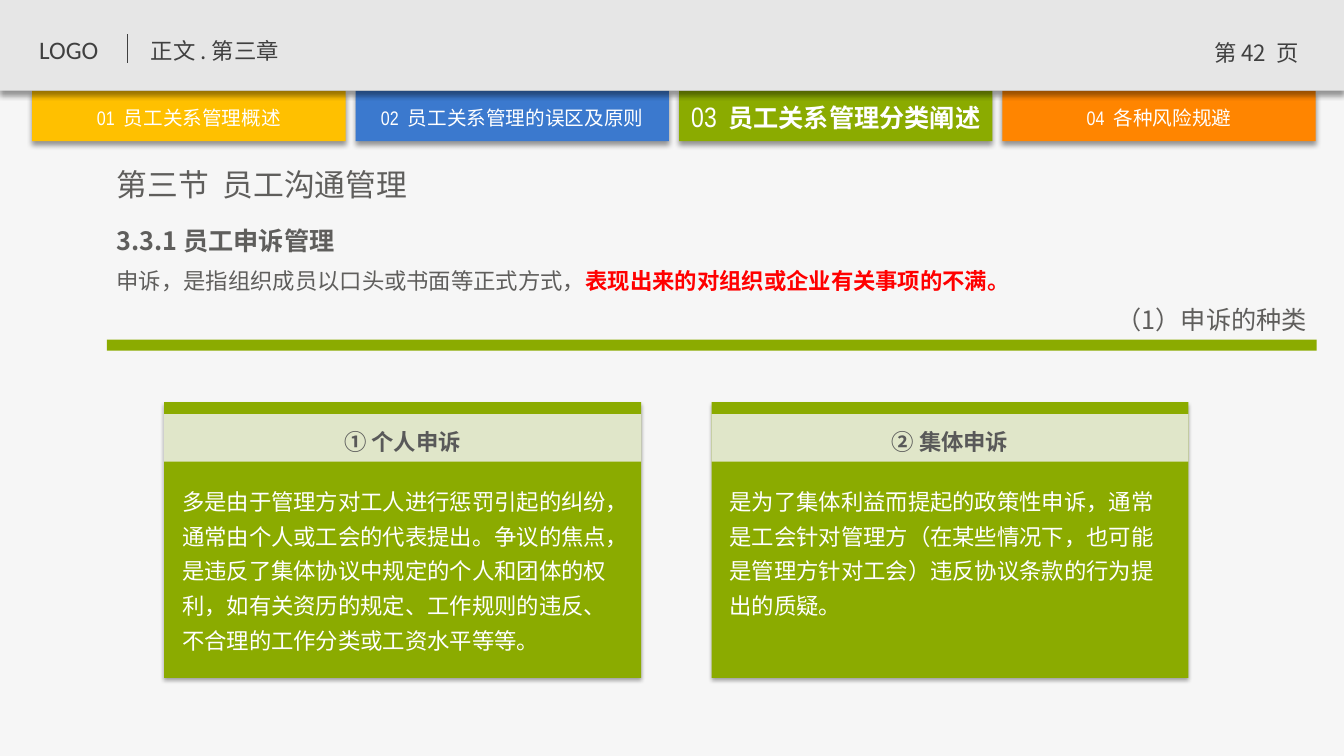
"""Builds the slide on kinds of employee grievances."""
from lxml.etree import SubElement
from pptx import Presentation
from pptx.dml.color import RGBColor
from pptx.enum.shapes import MSO_CONNECTOR, MSO_SHAPE
from pptx.enum.text import MSO_ANCHOR, MSO_AUTO_SIZE, PP_ALIGN
from pptx.oxml.ns import qn
from pptx.util import Pt

COLORS = {
    "page": "F6F6F6", "header": "E6E6E6", "dark": "404040", "text": "5F5E5C",
    "card title": "595959", "band": "F2F2F2", "white": "FFFFFF", "red": "FF0000",
    "black": "000000", "yellow": "FFC000", "blue": "3B79CE", "green": "8BAB00",
    "orange": "FF8500",
}
SANS, NARROW, LATIN = "Noto Sans CJK SC", "Arial Narrow", "Calibri"
WIDTH, HEIGHT = 960.48, 540
TAB_SHADOW, CARD_SHADOW = (40, 4, 3), (35, 3.1, 1.8)


class Painter:
    """Holds the style and the current slide."""

    def __init__(self, page):
        self.page = page
        page.background.fill.solid()
        page.background.fill.fore_color.rgb = self.color("page")

    def color(self, name):
        return RGBColor.from_string(COLORS[name])

    def block(self, left, top, width, height, fill, shadow=None, opacity=None):
        box = self.page.shapes.add_shape(
            MSO_SHAPE.RECTANGLE, Pt(left), Pt(top), Pt(width), Pt(height))
        box.shadow.inherit = False
        box.fill.solid()
        box.fill.fore_color.rgb = self.color(fill)
        box.line.fill.background()
        properties = box.element.spPr
        if opacity:
            tone = properties.find(qn("a:solidFill"))[0]
            SubElement(tone, qn("a:alpha"), val=str(opacity * 1000))
        if shadow:
            strength, blur, distance = shadow
            outer = SubElement(
                properties.find(qn("a:effectLst")), qn("a:outerShdw"),
                blurRad=str(Pt(blur)), dist=str(Pt(distance)), dir="5400000",
                algn="t", rotWithShape="0")
            tone = SubElement(outer, qn("a:srgbClr"), val=COLORS["black"])
            SubElement(tone, qn("a:alpha"), val=str(strength * 1000))

    def span(self, text, size, color, font=SANS, bold=False):
        return text, size, color, font, bold

    def text(self, left, top, width, height, spans, align=PP_ALIGN.LEFT,
             spacing=None, after=None, grow=True, tight=False):
        box = self.page.shapes.add_textbox(Pt(left), Pt(top), Pt(width), Pt(height))
        frame = box.text_frame
        frame.word_wrap = True
        frame.auto_size = MSO_AUTO_SIZE.SHAPE_TO_FIT_TEXT if grow else MSO_AUTO_SIZE.NONE
        if tight:
            frame.margin_left = frame.margin_right = 0
            frame.margin_top = frame.margin_bottom = 0
            frame.vertical_anchor = MSO_ANCHOR.MIDDLE
        para = frame.paragraphs[0]
        para.alignment = align
        if spacing:
            para.line_spacing = spacing
        if after:
            para.space_after = Pt(after)
        for words, size, color, font, bold in spans:
            run = para.add_run()
            run.text = words
            run.font.size = Pt(size)
            run.font.bold = bold
            run.font.color.rgb = self.color(color)
            run.font.name = font
            SubElement(run.font._element, qn("a:ea"), typeface=font)

    def line(self, left, top, right, bottom, color, weight):
        rule = self.page.shapes.add_connector(
            MSO_CONNECTOR.STRAIGHT, Pt(left), Pt(top), Pt(right), Pt(bottom))
        rule.line.color.rgb = self.color(color)
        rule.line.width = Pt(weight)
        SubElement(rule.element.spPr, qn("a:effectLst"))

    def tab(self, left, fill, spans, active):
        self.block(left, 64.8, 223.92, 36, fill, TAB_SHADOW)
        top, height = (70.56, 24.48) if active else (75.6, 17.28)
        self.text(left, top, 223.92, height, spans, PP_ALIGN.CENTER, tight=True)

    def card(self, left, title, body, body_height):
        self.block(left, 287.28, 340.8, 196.92, "green", CARD_SHADOW)
        self.block(left, 295.92, 340.8, 33.84, "band", opacity=83)
        self.text(left, 296.64, 340.8, 32.4,
                  [self.span(title, 16, "card title", bold=True)],
                  PP_ALIGN.CENTER, spacing=1.3)
        self.text(left + 5.76, 339.12, 329.76, body_height,
                  [self.span(body, 16, "white")], spacing=1.3)


def main():
    deck = Presentation()
    deck.slide_width, deck.slide_height = Pt(WIDTH), Pt(HEIGHT)
    painter = Painter(deck.slides.add_slide(deck.slide_layouts[6]))
    span = painter.span

    tabs = [
        ("yellow", "01", "员工关系管理概述"),
        ("blue", "02", "员工关系管理的误区及原则"),
        ("green", "03", "员工关系管理分类阐述"),
        ("orange", "04", "各种风险规避"),
    ]
    for index, (fill, number, label) in enumerate(tabs):
        active = number == "03"
        number_size, label_size = (20, 18) if active else (14, 14)
        spans = [span(number, number_size, "white", NARROW),
                 span("  ", label_size, "white", NARROW),
                 span(label, label_size, "white", bold=active)]
        painter.tab(23.04 + index * 231.12, fill, spans, active)

    painter.block(0, 0, WIDTH, 64.8, "header", TAB_SHADOW)
    painter.text(20.88, 20.88, 70.56, 28.8, [span("LOGO", 18, "dark", LATIN)])
    painter.line(91.44, 24.48, 91.44, 45.36, "dark", 0.75)
    painter.text(854.64, 24.48, 86.4, 28.8, [span("第 42  页", 16, "dark")],
                 PP_ALIGN.CENTER, grow=False)
    painter.text(100.8, 23.04, 235.44, 26.64, [span("正文 . 第三章", 16, "dark")])

    painter.text(76.32, 114.48, 391.68, 33.84, [span("第三节  员工沟通管理", 22, "text")])
    painter.text(76.32, 151.2, 415.44, 35.28,
                 [span("3.3.1 员工申诉管理", 18, "text", bold=True)], spacing=1.3)
    painter.text(76.32, 181.44, 864.72, 30.24,
                 [span("申诉，是指组织成员以口头或书面等正式方式，", 16, "text"),
                  span("表现出来的对组织或企业有关事项的不满。", 16, "red", bold=True)],
                 spacing=1.3, after=6)
    painter.text(769.68, 207.36, 171.36, 35.28, [span("（1）申诉的种类", 18, "text")],
                 PP_ALIGN.RIGHT, spacing=1.3)
    painter.block(76.32, 242.64, 864.72, 7.92, "green")

    cards = [
        ("① 个人申诉",
         "多是由于管理方对工人进行惩罚引起的纠纷，通常由个人或工会的代表提出。"
         "争议的焦点，是违反了集体协议中规定的个人和团体的权利，如有关资历的规定、"
         "工作规则的违反、不合理的工作分类或工资水平等等。", 133.2),
        ("② 集体申诉",
         "是为了集体利益而提起的政策性申诉，通常是工会针对管理方"
         "（在某些情况下，也可能是管理方针对工会）违反协议条款的行为提出的质疑。", 105.84),
    ]
    for index, (title, body, body_height) in enumerate(cards):
        painter.card(117.36 + index * 391.2, title, body, body_height)

    deck.save("out.pptx")


if __name__ == "__main__":
    main()
